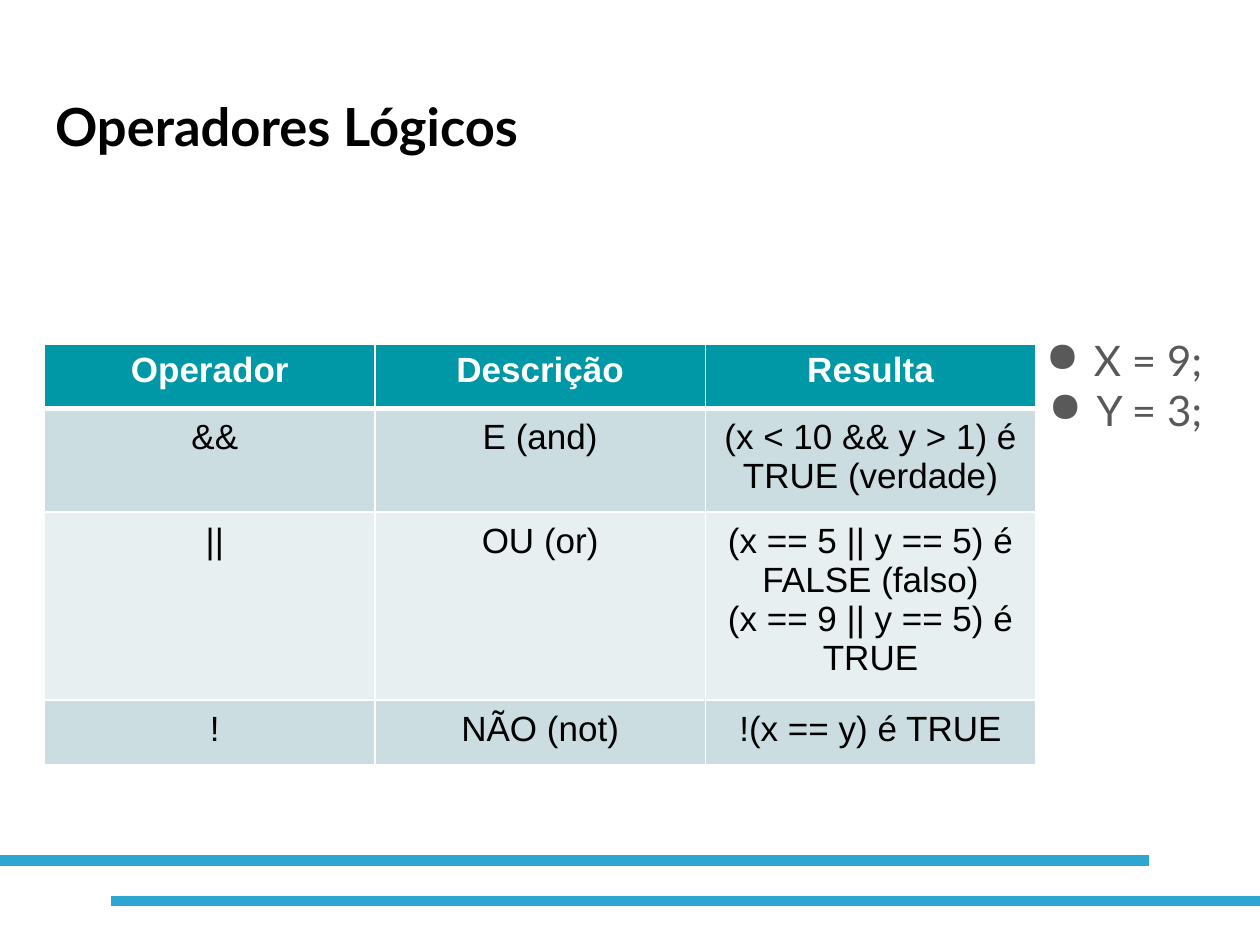
from lxml.etree import SubElement
from pptx import Presentation
from pptx.dml.color import RGBColor
from pptx.enum.shapes import MSO_CONNECTOR
from pptx.enum.text import MSO_ANCHOR, PP_ALIGN
from pptx.oxml import parse_xml
from pptx.oxml.ns import nsdecls, qn
from pptx.util import Cm, Pt

COLORS = {
    "line": "2EA6D2",
    "header": "0097A7",
    "odd": "CCDDE1",
    "even": "E7EFF1",
    "white": "FFFFFF",
    "black": "000000",
    "gray": "595959",
}
ROWS = [
    ["Operador", "Descrição", "Resulta"],
    ["&&", "E (and)", "(x < 10 && y > 1) é TRUE (verdade)"],
    ["||", "OU (or)",
     "(x == 5 || y == 5) é FALSE (falso)\n(x == 9 || y == 5) é\nTRUE"],
    ["!", "NÃO (not)", "!(x == y) é TRUE"],
]
ROW_HEIGHTS = [1.3, 2.08, 3.76, 1.3]
COLUMN_WIDTH = 6.66


def rgb(name):
    """Return the named colour."""
    return RGBColor.from_string(COLORS[name])


def write_text(frame, text, font="Arial", size=20, color="black", bold=False,
               align=PP_ALIGN.LEFT, bullet=None):
    """Fill a text frame with one paragraph per line of text."""
    frame.word_wrap = True
    frame.text = text
    for paragraph in frame.paragraphs:
        paragraph.alignment = align
        for run in paragraph.runs:
            run.font.name = font
            run.font.size = Pt(size)
            run.font.bold = bold
            run.font.color.rgb = rgb(color)
        if bullet:
            add_bullet(paragraph, bullet, color)


def add_bullet(paragraph, character, color):
    """Give a paragraph a coloured bullet and a hanging indent."""
    properties = paragraph._p.get_or_add_pPr()
    properties.set("marL", str(Cm(1.27)))
    properties.set("indent", str(Cm(-0.97)))
    bullet_color = SubElement(properties, qn("a:buClr"))
    SubElement(bullet_color, qn("a:srgbClr"), val=COLORS[color])
    SubElement(properties, qn("a:buChar"), char=character)


def add_text_box(slide, left, top, width, height, text, **text_format):
    """Add a text box with even margins."""
    frame = slide.shapes.add_textbox(
        Cm(left), Cm(top), Cm(width), Cm(height)).text_frame
    frame.margin_left = frame.margin_right = Cm(0.25)
    frame.margin_top = frame.margin_bottom = Cm(0.25)
    frame.vertical_anchor = MSO_ANCHOR.TOP
    write_text(frame, text, **text_format)


def add_rule(slide, start, end, top):
    """Add a thick horizontal line."""
    connector = slide.shapes.add_connector(
        MSO_CONNECTOR.STRAIGHT, Cm(start), Cm(top), Cm(end), Cm(top))
    connector.line.color.rgb = rgb("line")
    connector.line.width = Pt(6)
    SubElement(connector._element.spPr, qn("a:effectLst"))


def set_borders(cell, widths):
    """Draw white borders, with widths in points by side."""
    properties = cell._tc.get_or_add_tcPr()
    for position, side in enumerate("LRTB"):
        properties.insert(position, parse_xml(
            f'<a:ln{side} {nsdecls("a")} w="{Pt(widths[side])}"><a:solidFill>'
            f'<a:srgbClr val="{COLORS["white"]}"/></a:solidFill></a:ln{side}>'))


def style_cell(cell, text, row, column):
    """Write and format one table cell."""
    is_header = row == 0
    side, vertical = (0.3, 0.15) if is_header else (0.2, 0.2)
    cell.margin_left = Cm(0.4 if column == 0 and not is_header else side)
    cell.margin_right = Cm(side)
    cell.margin_top = cell.margin_bottom = Cm(vertical)
    write_text(cell.text_frame, text, bold=is_header, align=PP_ALIGN.CENTER,
               color="white" if is_header else "black")
    cell.fill.solid()
    cell.fill.fore_color.rgb = rgb(
        "header" if is_header else "odd" if row % 2 else "even")
    set_borders(cell, {"L": 1, "R": 1, "T": 3 if row == 1 else 1,
                       "B": 3 if is_header else 1})


def add_operator_table(slide, left, top):
    """Add the table of logical operators."""
    column_count = len(ROWS[0])
    table = slide.shapes.add_table(
        len(ROWS), column_count, Cm(left), Cm(top),
        Cm(COLUMN_WIDTH * column_count), Cm(sum(ROW_HEIGHTS))).table
    for column in table.columns:
        column.width = Cm(COLUMN_WIDTH)
    for row, (texts, height) in enumerate(zip(ROWS, ROW_HEIGHTS)):
        table.rows[row].height = Cm(height)
        for column, text in enumerate(texts):
            style_cell(table.cell(row, column), text, row, column)


def main():
    """Build and save the slide."""
    presentation = Presentation()
    presentation.slide_width = Cm(25.4)
    presentation.slide_height = Cm(19.05)
    slide = presentation.slides.add_slide(presentation.slide_layouts[6])
    add_rule(slide, 2.24, 25.4, 18.16)
    add_rule(slide, 0, 23.16, 17.35)
    add_text_box(slide, 0.86, 1.65, 23.67, 2.11, "Operadores Lógicos",
                 font="Lato", size=30, bold=True)
    add_text_box(slide, 19.9, 6.49, 4.59, 2.6, "X = 9;\nY = 3;",
                 font="Lato", size=24, color="gray", align=PP_ALIGN.RIGHT,
                 bullet="●")
    add_operator_table(slide, 0.9, 6.93)
    presentation.save("out.pptx")


main()
